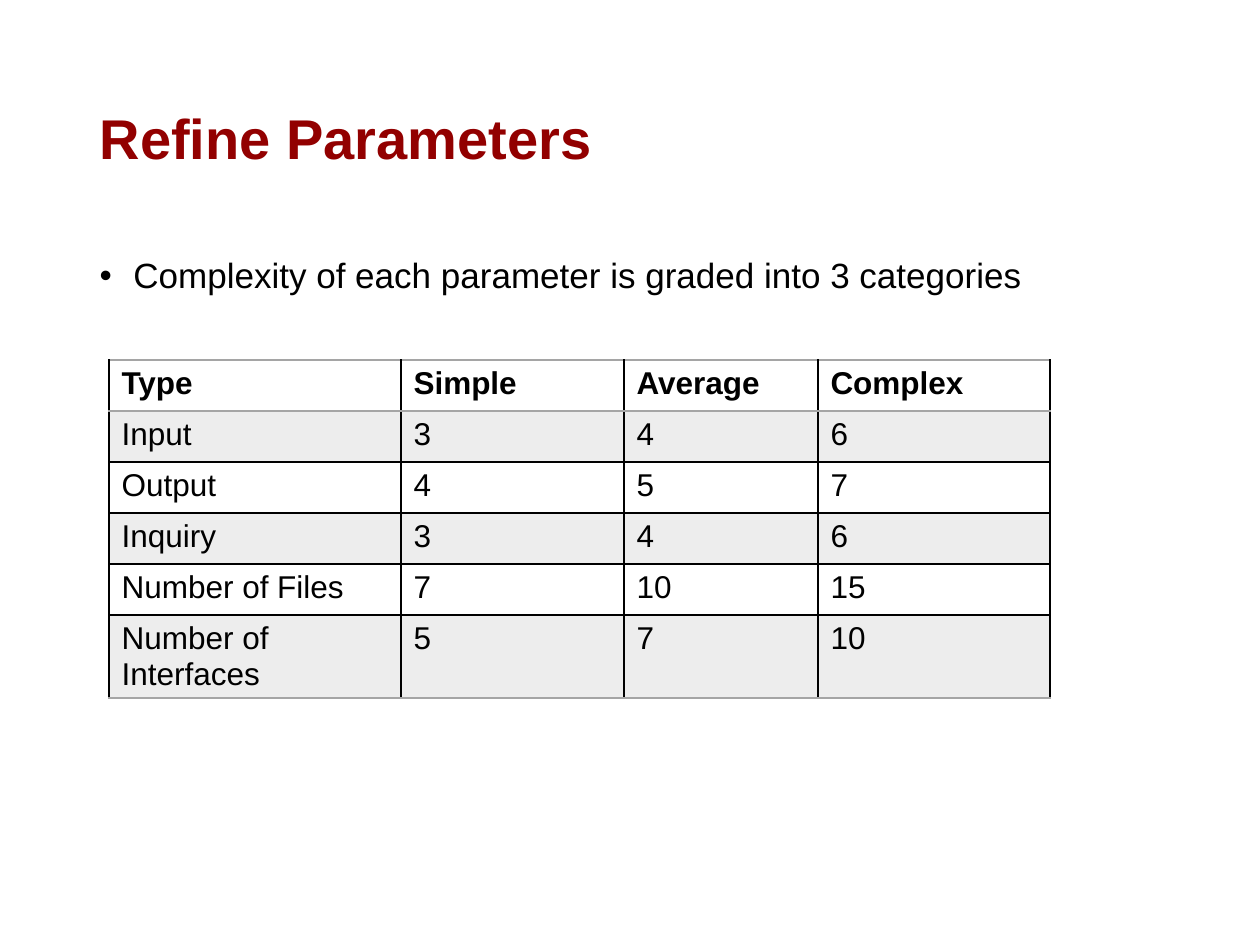
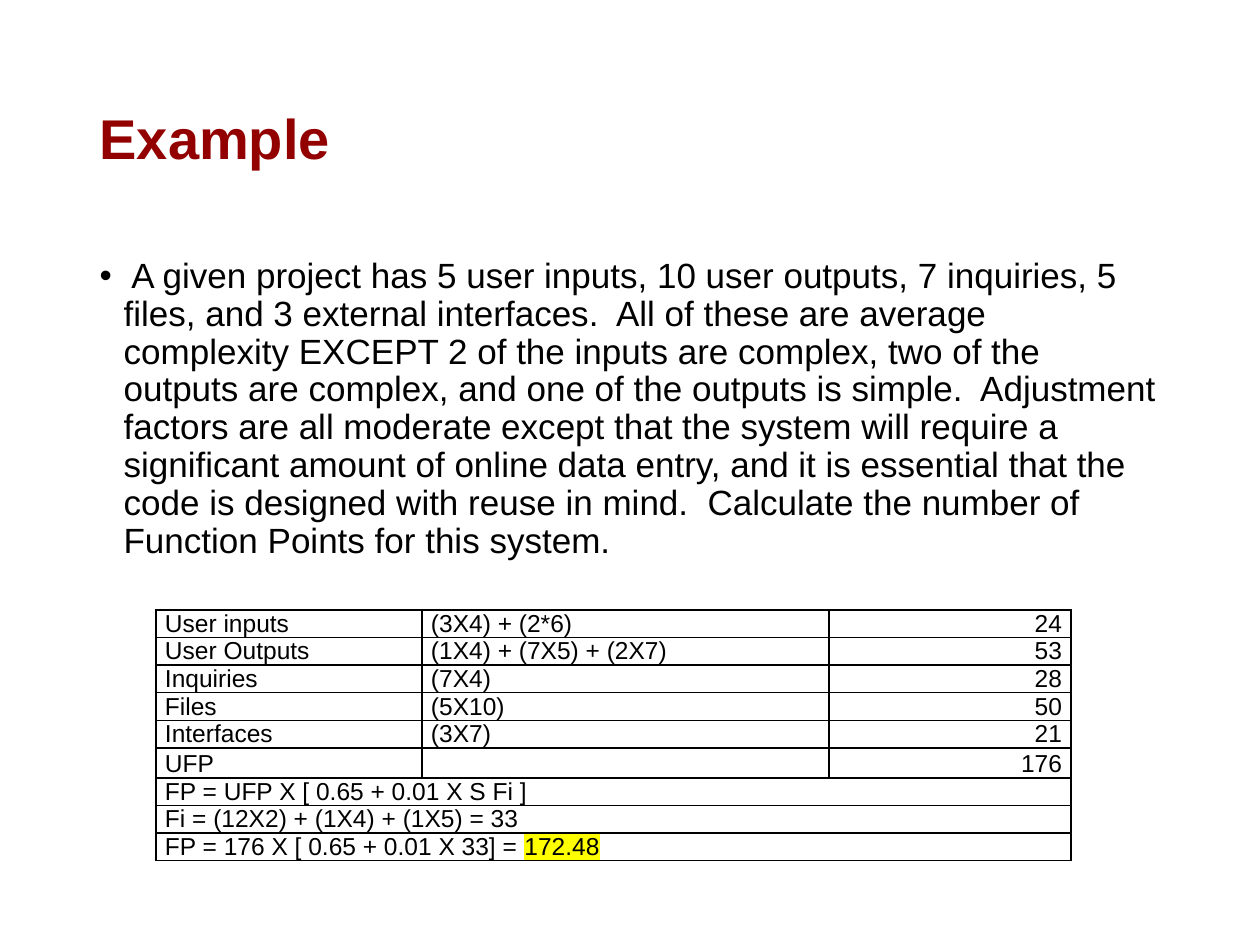
from dataclasses import dataclass

from lxml.etree import SubElement
from pptx import Presentation
from pptx.dml.color import RGBColor
from pptx.enum.text import MSO_ANCHOR, MSO_AUTO_SIZE, PP_ALIGN
from pptx.oxml.ns import qn
from pptx.util import Pt

SCALE = 914400 / 126


@dataclass(frozen=True)
class Theme:
    font: str = "Arial"
    title: str = "920000"
    ink: str = "000000"
    rule: str = "A5A5A5"
    band: str = "EDEDED"
    mark: str = "FFFF00"
    head: int = 32
    body: int = 20
    grid: int = 18
    sums: int = 14


LOOK = Theme()
TITLE = (87, 50, 1086, 183)
BODY = (87, 252, 1086, 600)


def px(size):
    return round(size * SCALE)


def put(para, text, size=LOOK.body, color=LOOK.ink, bold=False,
        align=PP_ALIGN.LEFT, space=None, mark=None):
    para.alignment = align
    if space:
        para.line_spacing = space
        para.space_before = Pt(0)
    if not text:
        SubElement(para._p, qn("a:endParaRPr"), sz=str(size * 100))
        return
    run = para.add_run()
    run.text = text
    font = run.font
    font.name, font.size, font.bold = LOOK.font, Pt(size), bold
    font.color.rgb = RGBColor.from_string(color)
    if mark:
        props = run._r.get_or_add_rPr()
        light = SubElement(props, qn("a:highlight"))
        SubElement(light, qn("a:srgbClr"), val=mark)
        props.find(qn("a:solidFill")).addnext(light)


def place(shape, box):
    shape.left, shape.top, shape.width, shape.height = map(px, box)
    frame = shape.text_frame
    frame.word_wrap = True
    frame.auto_size = MSO_AUTO_SIZE.NONE
    return frame


def bullet(para, indent):
    props = para._p.get_or_add_pPr()
    props.set("marL", str(px(indent)))
    props.set("indent", str(-px(indent)))
    SubElement(props, qn("a:buFont"), typeface=LOOK.font)
    SubElement(props, qn("a:buChar"), char="•")


def page(deck, title, text):
    slide = deck.slides.add_slide(deck.slide_layouts[1])
    frame = place(slide.shapes.title, TITLE)
    frame.vertical_anchor = MSO_ANCHOR.MIDDLE
    put(frame.paragraphs[0], title, size=LOOK.head, color=LOOK.title,
        bold=True, space=0.9)
    frame = place(slide.placeholders[1], BODY)
    frame.vertical_anchor = MSO_ANCHOR.TOP
    para = frame.paragraphs[0]
    bullet(para, 24)
    put(para, text, space=0.9)
    return slide


def table(slide, spot, widths, height, count):
    left, top = spot
    box = map(px, (left, top, sum(widths), height * count))
    shape = slide.shapes.add_table(count, len(widths), *box)
    grid = shape.table
    grid.first_row = grid.horz_banding = False
    for style in list(shape.element.iter(qn("a:tableStyleId"))):
        style.getparent().remove(style)
    for col, width in zip(grid.columns, widths):
        col.width = px(width)
    for row in grid.rows:
        row.height = px(height)
    return grid


def edge(cell, sides, color):
    props = cell._tc.get_or_add_tcPr()
    for side in sides:
        line = SubElement(props, qn(f"a:ln{side}"), w=str(Pt(1)))
        fill = SubElement(line, qn("a:solidFill"))
        SubElement(fill, qn("a:srgbClr"), val=color)


def grades(slide, spot, rows):
    grid = table(slide, spot, (292, 223, 194, 232), 51, len(rows))
    sides = {0: "TB", 1: "T", len(rows) - 1: "B"}
    for r, row in enumerate(rows):
        for c, text in enumerate(row):
            cell = grid.cell(r, c)
            edge(cell, sides.get(r, ""), LOOK.rule)
            if r % 2:
                cell.fill.solid()
                cell.fill.fore_color.rgb = RGBColor.from_string(LOOK.band)
            else:
                cell.fill.background()
            put(cell.text_frame.paragraphs[0], text, size=LOOK.grid,
                bold=r == 0)


def sums(slide, spot, rows, notes, answer):
    cells = rows + [(note, "", "") for note in notes]
    grid = table(slide, spot, (266, 407, 242), 27, len(cells))
    for r, row in enumerate(cells):
        if r >= len(rows):
            grid.cell(r, 0).merge(grid.cell(r, 2))
        for c, text in enumerate(row):
            cell = grid.cell(r, c)
            cell.margin_left = cell.margin_right = px(9)
            cell.margin_top = cell.margin_bottom = 0
            cell.vertical_anchor = MSO_ANCHOR.BOTTOM
            edge(cell, "LRTB", LOOK.ink)
            cell.fill.background()
            put(cell.text_frame.paragraphs[0], text, size=LOOK.sums,
                align=PP_ALIGN.RIGHT if c == 2 else PP_ALIGN.LEFT)
    last = grid.cell(len(cells) - 1, 0).text_frame.paragraphs[0]
    put(last, answer, size=LOOK.sums, mark=LOOK.mark)


def main():
    deck = Presentation()
    deck.slide_width, deck.slide_height = px(1260), px(945)

    slide = page(deck, "Refine Parameters",
                 " Complexity of each parameter is graded into 3 categories")
    grades(slide, (109, 360), [
        ("Type", "Simple", "Average", "Complex"),
        ("Input", "3", "4", "6"),
        ("Output", "4", "5", "7"),
        ("Inquiry", "3", "4", "6"),
        ("Number of Files", "7", "10", "15"),
        ("Number of Interfaces", "5", "7", "10"),
    ])

    slide = page(deck, "Example", (
        " A given project has 5 user inputs, 10 user outputs, 7 inquiries, "
        "5 files, and 3 external interfaces.  All of these are average "
        "complexity EXCEPT 2 of the inputs are complex, two of the outputs "
        "are complex, and one of the outputs is simple.  Adjustment factors "
        "are all moderate except that the system will require a significant "
        "amount of online data entry, and it is essential that the code is "
        "designed with reuse in mind.  Calculate the number of Function "
        "Points for this system."))
    sums(slide, (156, 610), [
        ("User inputs", "(3X4) + (2*6)", "24"),
        ("User Outputs", "(1X4) + (7X5) + (2X7)", "53"),
        ("Inquiries", "(7X4)", "28"),
        ("Files", "(5X10)", "50"),
        ("Interfaces", "(3X7)", "21"),
        ("UFP", "", "176"),
    ], [
        "FP = UFP X [ 0.65 + 0.01 X S Fi ]",
        "Fi = (12X2) + (1X4) + (1X5) = 33",
        "FP = 176 X [ 0.65 + 0.01 X 33] = ",
    ], "172.48")

    deck.save("out.pptx")


if __name__ == "__main__":
    main()
